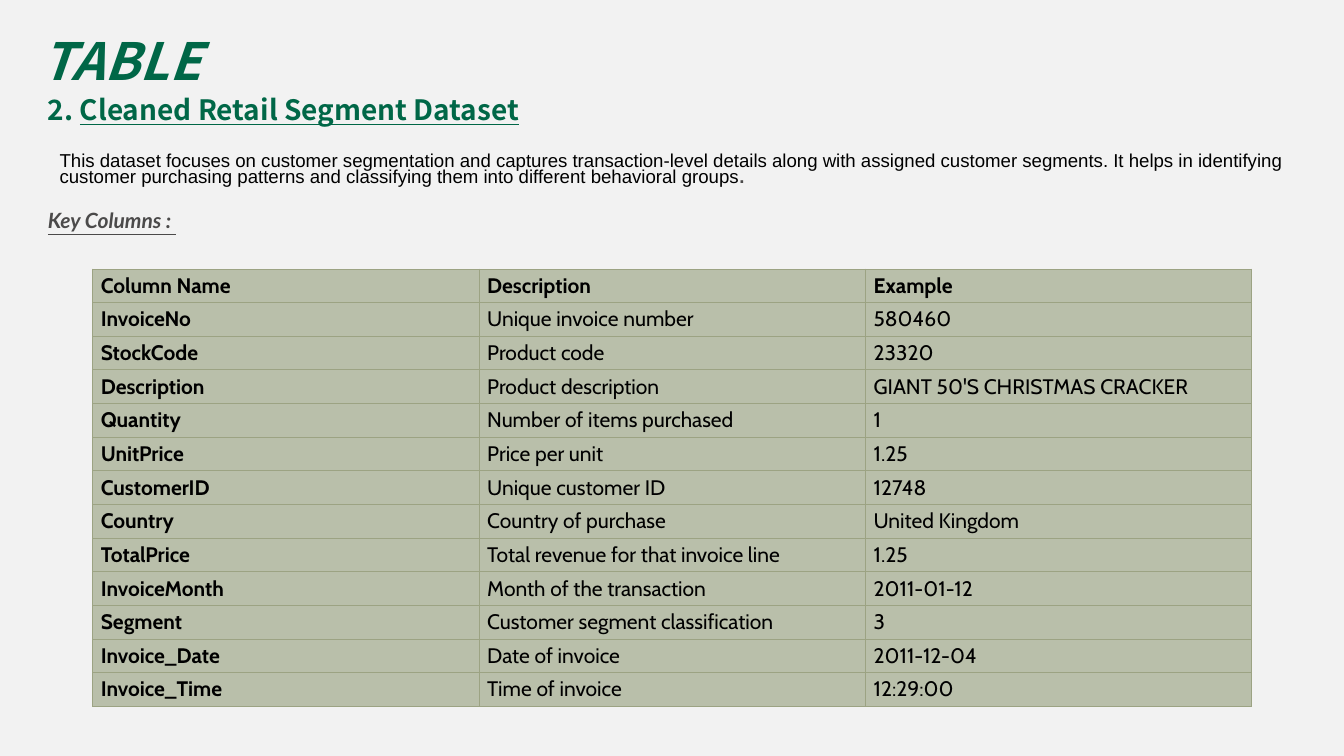
from lxml.etree import SubElement
from pptx import Presentation
from pptx.dml.color import RGBColor
from pptx.enum.text import MSO_ANCHOR
from pptx.oxml.ns import qn
from pptx.util import Inches, Pt


def paint(color, code):
    color.rgb = RGBColor.from_string(code)


def style(run, face, size, code, bold=False, italic=False, under=False):
    font = run.font
    font.name, font.size = face, Pt(size)
    font.bold, font.italic, font.underline = bold, italic, under
    paint(font.color, code)


GREEN, GREY, BLACK = "006747", "4B4A4A", "000000"
SAGE, EDGE = "B9BFAA", "9CA383"
NOTO = "Noto Sans CJK SC"

deck = Presentation()
deck.slide_width, deck.slide_height = Inches(16), Inches(9)
slide = deck.slides.add_slide(deck.slide_layouts[6])
slide.background.fill.solid()
paint(slide.background.fill.fore_color, "F2F2F2")

about = (
    "This dataset focuses on customer segmentation and captures transaction-level "
    "details along with assigned customer segments. It helps in identifying customer "
    "purchasing patterns and classifying them into different behavioral groups"
)
texts = [
    ((0.5, 0.78, 3.46, 0.31), 22,
     [("TABLE", NOTO, 44, GREEN, True, True)]),
    ((0.57, 1.27, 6, 0.23), 16.5,
     [("2. ", NOTO, 24, GREEN, True),
      ("Cleaned Retail Segment Dataset", NOTO, 24, GREEN, True, False, True)]),
    ((0.71, 1.84, 15.13, 0.5), 14,
     [(about, "Arial", 16, BLACK), (".", "Arial", 16, GREY, True)]),
    ((0.57, 2.58, 15.13, 0.2), 14,
     [("Key Columns : ", "Lato", 18, GREY, True, True, True)]),
]
for place, pitch, runs in texts:
    frame = slide.shapes.add_textbox(*map(Inches, place)).text_frame
    frame.word_wrap = True
    frame.margin_left = frame.margin_right = 0
    frame.margin_top = frame.margin_bottom = 0
    para = frame.paragraphs[0]
    para.line_spacing = Pt(pitch)
    for words, *look in runs:
        run = para.add_run()
        run.text = words
        style(run, *look)

rows = [
    ("Column Name", "Description", "Example"),
    ("InvoiceNo", "Unique invoice number", "580460"),
    ("StockCode", "Product code", "23320"),
    ("Description", "Product description", "GIANT 50'S CHRISTMAS CRACKER"),
    ("Quantity", "Number of items purchased", "1"),
    ("UnitPrice", "Price per unit", "1.25"),
    ("CustomerID", "Unique customer ID", "12748"),
    ("Country", "Country of purchase", "United Kingdom"),
    ("TotalPrice", "Total revenue for that invoice line", "1.25"),
    ("InvoiceMonth", "Month of the transaction", "2011-01-12"),
    ("Segment", "Customer segment classification", "3"),
    ("Invoice_Date", "Date of invoice", "2011-12-04"),
    ("Invoice_Time", "Time of invoice", "12:29:00"),
]
table = slide.shapes.add_table(
    len(rows), 3, Inches(1.1), Inches(3.2), Inches(13.8), Inches(0.4 * len(rows))
).table
table.horz_banding = False
for r, row in enumerate(rows):
    for c, words in enumerate(row):
        cell = table.cell(r, c)
        cell.vertical_anchor = MSO_ANCHOR.MIDDLE
        cell.text_frame.text = words
        style(cell.text_frame.paragraphs[0].runs[0], "Cabin", 18, BLACK,
              r == 0 or c == 0)
        props = cell._tc.get_or_add_tcPr()
        for side in ("a:lnL", "a:lnR", "a:lnT", "a:lnB"):
            line = SubElement(props, qn(side), w=str(Pt(0.5)))
            fill = SubElement(line, qn("a:solidFill"))
            SubElement(fill, qn("a:srgbClr"), val=EDGE)
        cell.fill.solid()
        paint(cell.fill.fore_color, SAGE)

deck.save("out.pptx")
